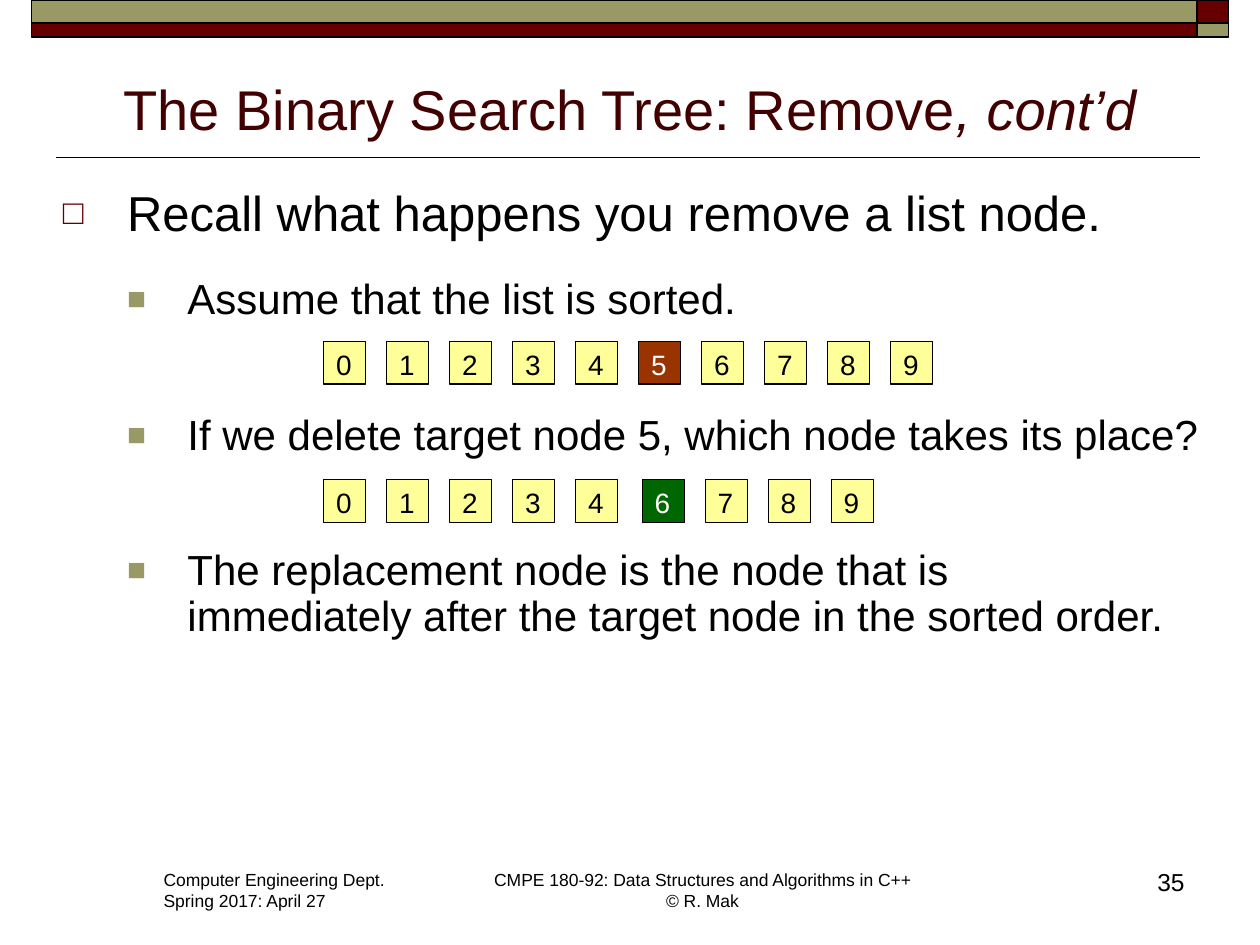
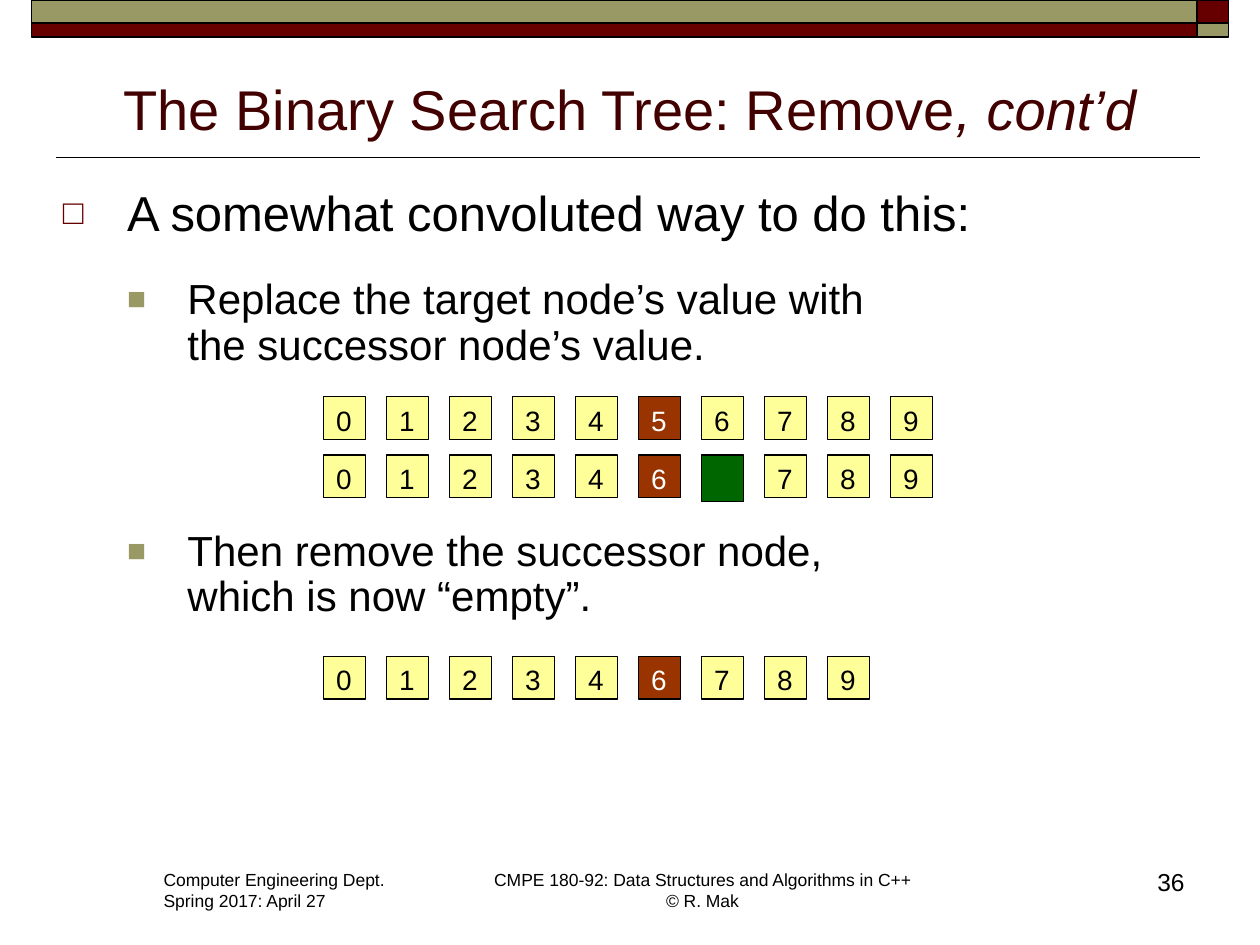
from lxml import etree
from pptx import Presentation
from pptx.dml.color import RGBColor
from pptx.enum import shapes, text
from pptx.oxml import ns
from pptx.util import Pt

FONT = "Arial"
HUES = {
    "ink": "000000", "white": "FFFFFF", "title": "420000",
    "wine": "660000", "olive": "999966",
    "node": "FFFF99", "target": "993300", "next": "006600",
}
# level: size, left indent, hanging indent, bullet, bullet colour, bullet percent
LEVELS = [
    (28, 36.75, 36.75, "□", "wine", 70),
    (24, 71.25, 34.5, "■", "olive", 75),
]
STEP = 36       # from one list node to the next
NODE = 24, 24.5
LEFT = 185      # first node of a row


def rgb(hue):
    return RGBColor.from_string(HUES[hue])


def add_run(para, words, size, hue="ink", slant=False):
    """Add words as runs, with a line break at each newline."""
    for i, line in enumerate(words.split("\n")):
        if i:
            para.add_line_break()
        run = para.add_run()
        run.text = line
        font = run.font
        font.name, font.size, font.italic = FONT, Pt(size), slant
        font.color.rgb = rgb(hue)


def add_rect(slide, box, fill, width):
    rect = slide.shapes.add_shape(shapes.MSO_SHAPE.RECTANGLE, *map(Pt, box))
    rect.shadow.inherit = False
    rect.fill.solid()
    rect.fill.fore_color.rgb = rgb(fill)
    rect.line.color.rgb = rgb("ink")
    rect.line.width = Pt(width)
    return rect


def add_text(slide, box, wrap=True):
    frame = slide.shapes.add_textbox(*map(Pt, box)).text_frame
    frame.word_wrap = wrap
    return frame


def add_band(slide, box):
    """Two bars across the top, with their colours swapped at the right end."""
    x, y, w, h = box
    end, top = 18, 13
    for left, width, hues in ((x, w - end, ("olive", "wine")),
                              (x + w - end, end, ("wine", "olive"))):
        add_rect(slide, (left, y, width, top), hues[0], 1)
        add_rect(slide, (left, y + top, width, h - top), hues[1], 1)


def add_title(slide, box):
    x, y, w, h = box
    frame = add_text(slide, box)
    frame.vertical_anchor = text.MSO_ANCHOR.BOTTOM
    para = frame.paragraphs[0]
    para.alignment = text.PP_ALIGN.CENTER
    add_run(para, "The Binary Search Tree: Remove", 32, "title")
    add_run(para, ", cont’d", 32, "title", True)
    rule = y + h + 5.6
    line = slide.shapes.add_connector(
        shapes.MSO_CONNECTOR.STRAIGHT,
        Pt(x - 4), Pt(rule), Pt(x + w + 2), Pt(rule))
    line.line.color.rgb = rgb("ink")
    line.line.width = Pt(1)
    etree.SubElement(line._element.spPr, ns.qn("a:effectLst"))


def add_foot(slide, box, number):
    x, y, w, h = box
    dept = add_text(slide, (x, y, 142.5, h), False)
    add_run(dept.paragraphs[0], "Computer Engineering Dept.", 10)
    add_run(dept.add_paragraph(), "Spring 2017: April 27", 10)
    course = add_text(slide, (x + 187.2, y, 255.6, h), False).paragraphs[0]
    course.alignment = text.PP_ALIGN.CENTER
    add_run(course, "CMPE 180-92: Data Structures and Algorithms in C++\n"
                    "© R. Mak", 10)
    page = add_text(slide, (x + w - 150, y - 1.4, 150, 36)).paragraphs[0]
    page.alignment = text.PP_ALIGN.RIGHT
    add_run(page, str(number), 14)


def set_bullet(para, left, hang, sign, hue, scale):
    props = para._p.get_or_add_pPr()
    props.set("marL", str(Pt(left)))
    props.set("indent", str(-Pt(hang)))
    color = etree.SubElement(props, ns.qn("a:buClr"))
    etree.SubElement(color, ns.qn("a:srgbClr"), val=HUES[hue])
    etree.SubElement(props, ns.qn("a:buSzPct"), val=str(scale * 1000))
    etree.SubElement(props, ns.qn("a:buFont"), typeface=FONT)
    etree.SubElement(props, ns.qn("a:buChar"), char=sign)


def add_body(slide, box, points):
    """Fill the box with bulleted points: level, space before, words."""
    frame = add_text(slide, box)
    for i, (level, gap, words) in enumerate(points):
        para = frame.add_paragraph() if i else frame.paragraphs[0]
        para.level = level
        para.line_spacing = 0.9
        para.space_before = Pt(gap)
        size, *bullet = LEVELS[level]
        set_bullet(para, *bullet)
        add_run(para, words, size)


def add_nodes(slide, x, y, keys, marks):
    """Draw a row of list nodes; marks maps a place to its hue, a blank is empty."""
    w, h = NODE
    for i, key in enumerate(keys):
        empty = key == " "
        box = x + i * STEP, y, w, h + 2 if empty else h
        rect = add_rect(slide, box, marks.get(i, "node"), 0.75)
        if empty:
            continue
        frame = rect.text_frame
        frame.word_wrap = False
        frame.auto_size = text.MSO_AUTO_SIZE.SHAPE_TO_FIT_TEXT
        frame.vertical_anchor = text.MSO_ANCHOR.TOP
        para = frame.paragraphs[0]
        para.alignment = text.PP_ALIGN.LEFT
        add_run(para, key, 16, "white" if i in marks else "ink")


def add_page(deck, number, points, rows):
    slide = deck.slides.add_slide(deck.slide_layouts[6])
    add_band(slide, (18, 0, 684, 21))
    add_title(slide, (36, 32.4, 648, 52))
    add_foot(slide, (86.4, 493.2, 597.6, 31.7), number)
    add_body(slide, (28.8, 104.4, 669.6, 273.6), points)
    for row in rows:
        add_nodes(slide, *row)


def main():
    deck = Presentation()
    deck.slide_width, deck.slide_height = Pt(720), Pt(540)
    add_page(deck, 35, [
        (0, 0, "Recall what happens you remove a list node."),
        (1, 21, "Assume that the list is sorted."),
        (1, 51.5, "If we delete target node 5, which node takes its place?"),
        (1, 51.5, "The replacement node is the node that is\n"
                  "immediately after the target node in the sorted order."),
    ], [
        (LEFT, 195, "0123456789", {5: "target"}),
        (LEFT, 274, "01234", {}),
        (LEFT + 5 * STEP + 2, 274, "6789", {0: "next"}),
    ])
    add_page(deck, 36, [
        (0, 0, "A somewhat convoluted way to do this:"),
        (1, 21, "Replace the target node’s value with\n"
                "the successor node’s value."),
        (1, 92, "Then remove the successor node,\nwhich is now “empty”."),
    ], [
        (LEFT, 226.8, "0123456789", {5: "target"}),
        (LEFT, 260, "012346 789", {5: "target", 6: "next"}),
        (LEFT, 375, "012346789", {5: "target"}),
    ])
    deck.save("out.pptx")


if __name__ == "__main__":
    main()
